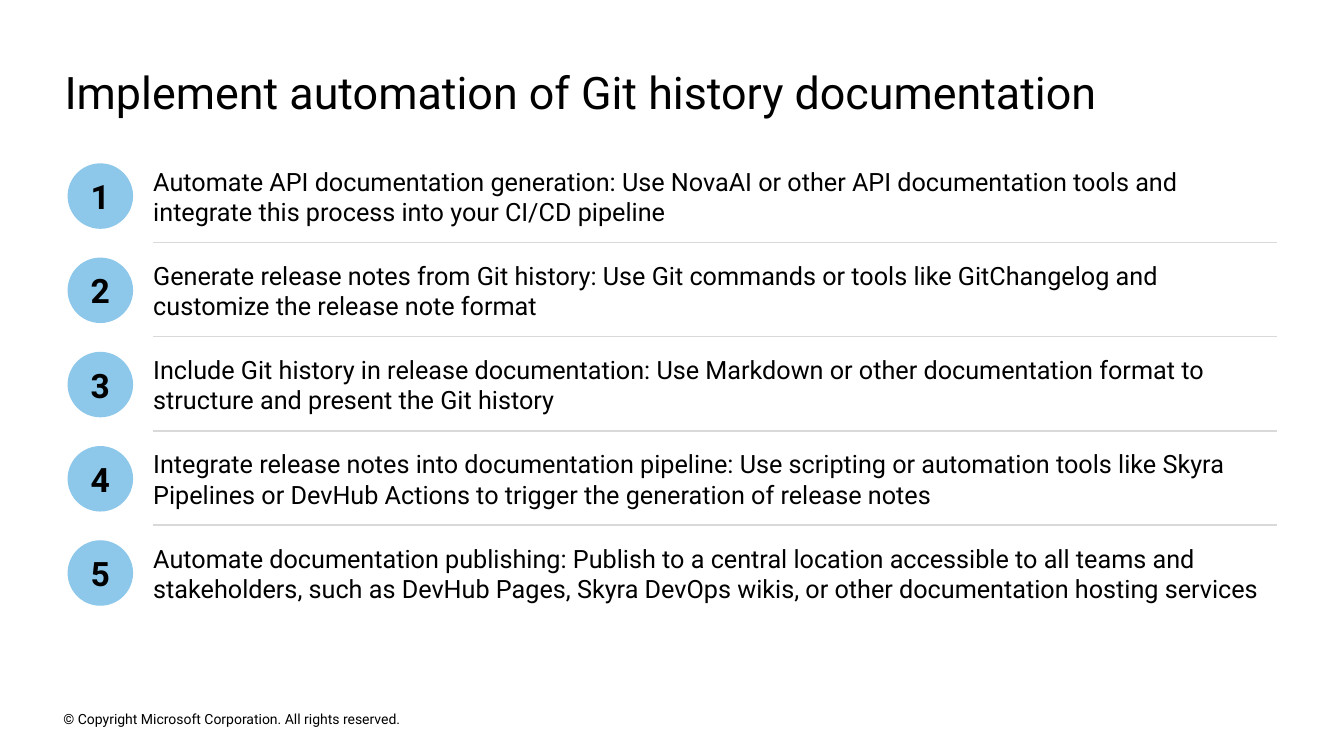
from pptx import Presentation
from pptx.dml.color import RGBColor
from pptx.enum.shapes import MSO_CONNECTOR as Link, MSO_SHAPE as Shape
from pptx.enum.text import MSO_ANCHOR as Anchor, PP_ALIGN as Align
from pptx.oxml.ns import qn
from pptx.util import Inches, Pt
from lxml.etree import SubElement

STEPS = [
    "Automate API documentation generation: Use NovaAI or other API documentation tools and "
    "integrate this process into your CI/CD pipeline",
    "Generate release notes from Git history: Use Git commands or tools like GitChangelog and "
    "customize the release note format",
    "Include Git history in release documentation: Use Markdown or other documentation format to "
    "structure and present the Git history",
    "Integrate release notes into documentation pipeline: Use scripting or automation tools like Skyra "
    "Pipelines or DevHub Actions to trigger the generation of release notes",
    "Automate documentation publishing: Publish to a central location accessible to all teams and "
    "stakeholders, such as DevHub Pages, Skyra DevOps wikis, or other documentation hosting services",
]
TOP, PITCH = 1.59, 0.935


def paint(tone):
    """Return the colour for a hex string."""
    return RGBColor.from_string(tone)


def write(frame, text, size, bold=False, align=Align.LEFT, anchor=Anchor.MIDDLE):
    """Fill a text frame with one styled paragraph."""
    edges = ("margin_left", "margin_top", "margin_right", "margin_bottom")
    look = dict.fromkeys(edges, 0) | {"word_wrap": True, "vertical_anchor": anchor}
    for name, value in look.items():
        setattr(frame, name, value)
    para = frame.paragraphs[0]
    para.alignment = align
    run = para.add_run()
    run.text = text
    for name, value in {"name": "Roboto", "size": Pt(size), "bold": bold}.items():
        setattr(run.font, name, value)
    run.font.color.rgb = paint("000000")


def add_text(slide, box, text, size, **style):
    """Add a text box at the given place."""
    frame = slide.shapes.add_textbox(*map(Inches, box)).text_frame
    write(frame, text, size, **style)


def add_badge(slide, top, label):
    """Add a numbered circle."""
    badge = slide.shapes.add_shape(Shape.OVAL, *map(Inches, (0.67, top, 0.65, 0.65)))
    badge.shadow.inherit = False
    badge.fill.solid()
    badge.fill.fore_color.rgb = paint("8DC8EB")
    badge.line.fill.background()
    write(badge.text_frame, label, 24, bold=True, align=Align.CENTER)


def add_rule(slide, top):
    """Add a thin line between two steps."""
    ends = map(Inches, (1.52, top, 12.67, top))
    rule = slide.shapes.add_connector(Link.STRAIGHT, *ends)
    rule.line.color.rgb = paint("D9D9D9")
    rule.line.width = Pt(1)
    SubElement(rule._element.spPr, qn("a:effectLst"))


def main():
    """Build the slide and save it."""
    deck = Presentation()
    deck.slide_width, deck.slide_height = Inches(13.33), Inches(7.5)
    slide = deck.slides.add_slide(deck.slide_layouts[6])
    add_text(slide, (0.64, 0.64, 10.72, 0.54),
             "Implement automation of Git history documentation", 32, anchor=Anchor.TOP)
    for index, step in enumerate(STEPS):
        top = TOP + index * PITCH
        if index:
            add_rule(slide, top - 0.12)
        add_badge(slide, top + 0.03, str(index + 1))
        add_text(slide, (1.52, top, 11.17, 0.71), step, 18)
    add_text(slide, (0.63, 7.02, 4.54, 0.22),
             "© Copyright Microsoft Corporation. All rights reserved.", 10)
    deck.save("out.pptx")


if __name__ == "__main__":
    main()
